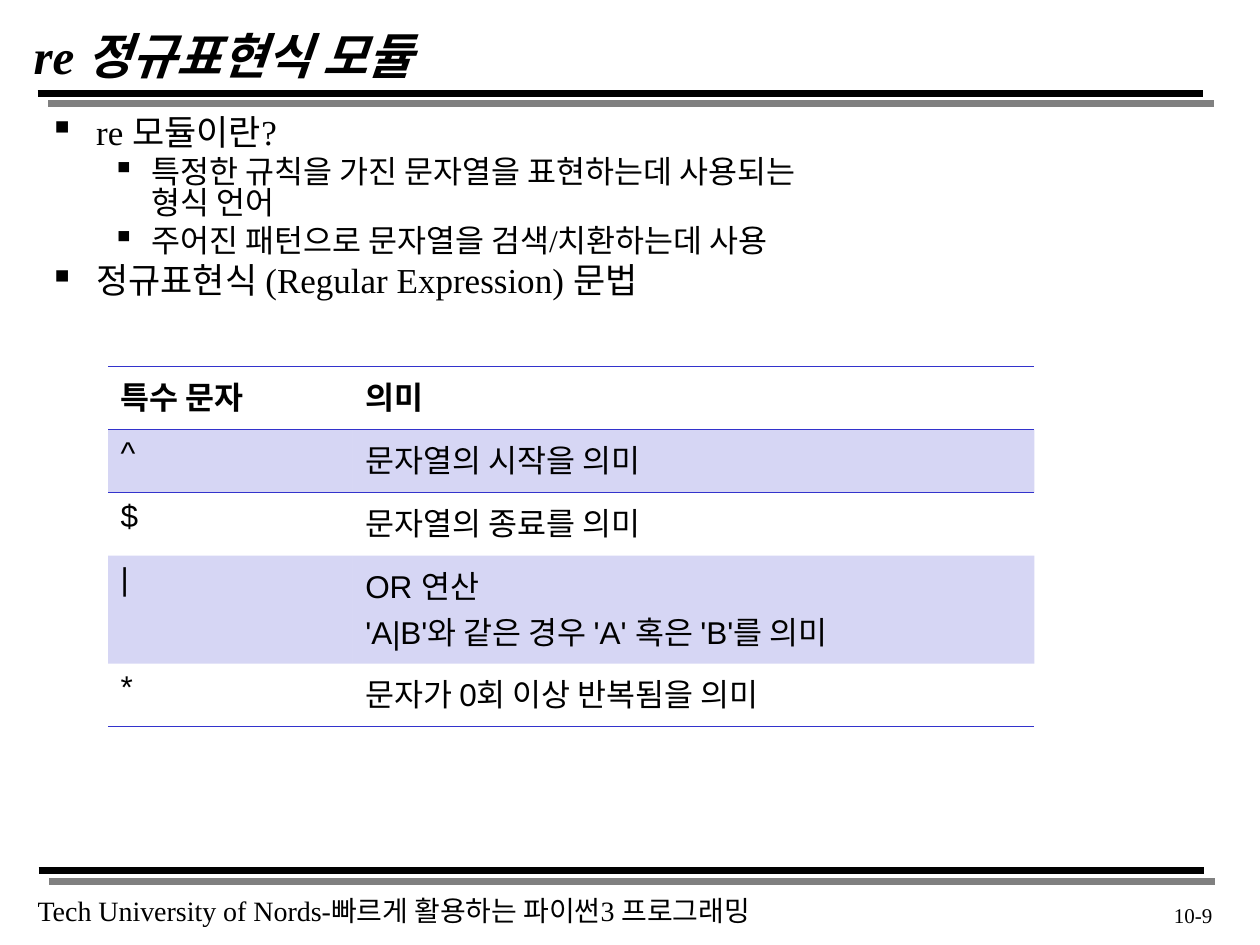
from pptx import Presentation
from pptx.util import Cm, Pt
from pptx.dml.color import RGBColor
from pptx.enum.shapes import MSO_CONNECTOR as Connector
from pptx.enum.text import MSO_ANCHOR as Anchor, PP_ALIGN as Align
from pptx.oxml import parse_xml
from pptx.oxml.ns import nsdecls

# Content
TITLE = "re 정규표현식 모듈"
FOOTER = "Tech University of Nords-빠르게 활용하는 파이썬3 프로그래밍"
PAGE_NUMBER = "10-9"
BULLETS = [
    (0, "re 모듈이란?"),
    (1, "특정한 규칙을 가진 문자열을 표현하는데 사용되는 \v형식 언어"),
    (1, "주어진 패턴으로 문자열을 검색/치환하는데 사용"),
    (0, "정규표현식 (Regular Expression) 문법"),
]
SYNTAX = [
    ("특수 문자", "의미"),
    ("^", "문자열의 시작을 의미"),
    ("$", "문자열의 종료를 의미"),
    ("|", "OR 연산\n'A|B'와 같은 경우 'A' 혹은 'B'를 의미"),
    ("*", "문자가 0회 이상 반복됨을 의미"),
]

# Look
COLORS = {"text": "000000", "rule": "000000", "shadow": "808080", "accent": "3333CC"}
SERIF, SANS = "Times New Roman", "Arial"
LEVELS = [  # size, left margin and hanging indent in cm
    {"size": 20, "margin": 0.95, "hang": 0.95},
    {"size": 18, "margin": 2.06, "hang": 0.79},
]
COLUMN_WIDTHS = [4.93, 13.74]
ROW_HEIGHT, TALL_ROW_HEIGHT = 1.27, 2.18
NO_STYLE = "{2D5ABB26-0587-4C30-8999-92F81FD0307C}"

deck = Presentation()
deck.slide_width, deck.slide_height = Cm(25.4), Cm(19.05)
page = deck.slides.add_slide(deck.slide_layouts[6])


def style(para, size, font=SERIF, bold=False, italic=False):
    for span in para.runs:
        span.font.size, span.font.name = Pt(size), font
        span.font.bold, span.font.italic = bold, italic
        span.font.color.rgb = RGBColor.from_string(COLORS["text"])


def add_text(text, left, top, width, height, size, wrap=True, **look):
    box = page.shapes.add_textbox(Cm(left), Cm(top), Cm(width), Cm(height))
    frame = box.text_frame
    frame.word_wrap = wrap
    frame.text = text
    style(frame.paragraphs[0], size, **look)
    return frame


def add_rule(left, right, top):
    rule = page.shapes.add_connector(
        Connector.STRAIGHT, Cm(left), Cm(top), Cm(right), Cm(top))
    rule.line.width = Pt(4)
    rule.line.color.rgb = RGBColor.from_string(COLORS["rule"])
    rule._element.spPr.append(parse_xml(
        f'<a:effectLst {nsdecls("a")}><a:outerShdw dist="107950" dir="2700000" '
        f'algn="ctr" rotWithShape="0"><a:srgbClr val="{COLORS["shadow"]}"/>'
        '</a:outerShdw></a:effectLst>'))


def add_bullet(para, level, text):
    look = LEVELS[level]
    para.text, para.level = text, level
    para.line_spacing = 0.83
    para.space_before = Pt(look["size"] * 0.2)
    style(para, look["size"])
    props = para._p.get_or_add_pPr()
    props.set("marL", str(Cm(look["margin"])))
    props.set("indent", str(-Cm(look["hang"])))
    props.append(parse_xml(f'<a:buChar {nsdecls("a")} char="▪"/>'))


def set_border(cell, side):
    cell._tc.get_or_add_tcPr().append(parse_xml(
        f'<a:{side} {nsdecls("a")} w="12700"><a:solidFill>'
        f'<a:srgbClr val="{COLORS["accent"]}"/></a:solidFill></a:{side}>'))


def fill_cell(cell, tinted):
    if not tinted:
        cell.fill.background()
        return
    cell.fill.solid()
    cell.fill.fore_color.rgb = RGBColor.from_string(COLORS["accent"])
    color = cell._tc.tcPr.find(".//{*}solidFill/{*}srgbClr[last()]")
    for fill in cell._tc.tcPr.findall("{*}solidFill"):
        color = fill[0]
    color.append(parse_xml(f'<a:alpha {nsdecls("a")} val="20000"/>'))


# Double rules above and below the content
for left, right, top in [(0.76, 24.26, 1.88), (0.78, 24.28, 17.55)]:
    for start in (left + 1.9, left):
        add_rule(start, right, top)

# Title, footer and page number
title = add_text(TITLE, 0.43, 0.48, 21.59, 1.27, 28, bold=True, italic=True)
title.vertical_anchor = Anchor.MIDDLE
add_text(FOOTER, 0.51, 17.88, 15.77, 0.94, 16, wrap=False)
number = add_text(PAGE_NUMBER, 22.58, 18.06, 2.11, 0.81, 12)
number.paragraphs[0].alignment = Align.RIGHT

# Bullets
body = add_text("", 0.74, 2.24, 23.83, 14.3, 20)
for index, (level, text) in enumerate(BULLETS):
    add_bullet(body.add_paragraph() if index else body.paragraphs[0], level, text)

# Syntax table
heights = [TALL_ROW_HEIGHT if "\n" in meaning else ROW_HEIGHT for _, meaning in SYNTAX]
table = page.shapes.add_table(
    len(SYNTAX), len(COLUMN_WIDTHS), Cm(2.18), Cm(7.39),
    Cm(sum(COLUMN_WIDTHS)), Cm(sum(heights))).table
table._tbl.tblPr.find("{*}tableStyleId").text = NO_STYLE
for column, width in zip(table.columns, COLUMN_WIDTHS):
    column.width = Cm(width)
last = len(SYNTAX) - 1
for r, texts in enumerate(SYNTAX):
    table.rows[r].height = Cm(heights[r])
    for c, text in enumerate(texts):
        cell = table.cell(r, c)
        cell.text_frame.text = text
        for para in cell.text_frame.paragraphs:
            style(para, 18, font=SANS, bold=r == 0)
        if r in (0, 1):
            set_border(cell, "lnT")
        if r in (0, last):
            set_border(cell, "lnB")
        fill_cell(cell, tinted=r % 2 == 1)

deck.save("out.pptx")
